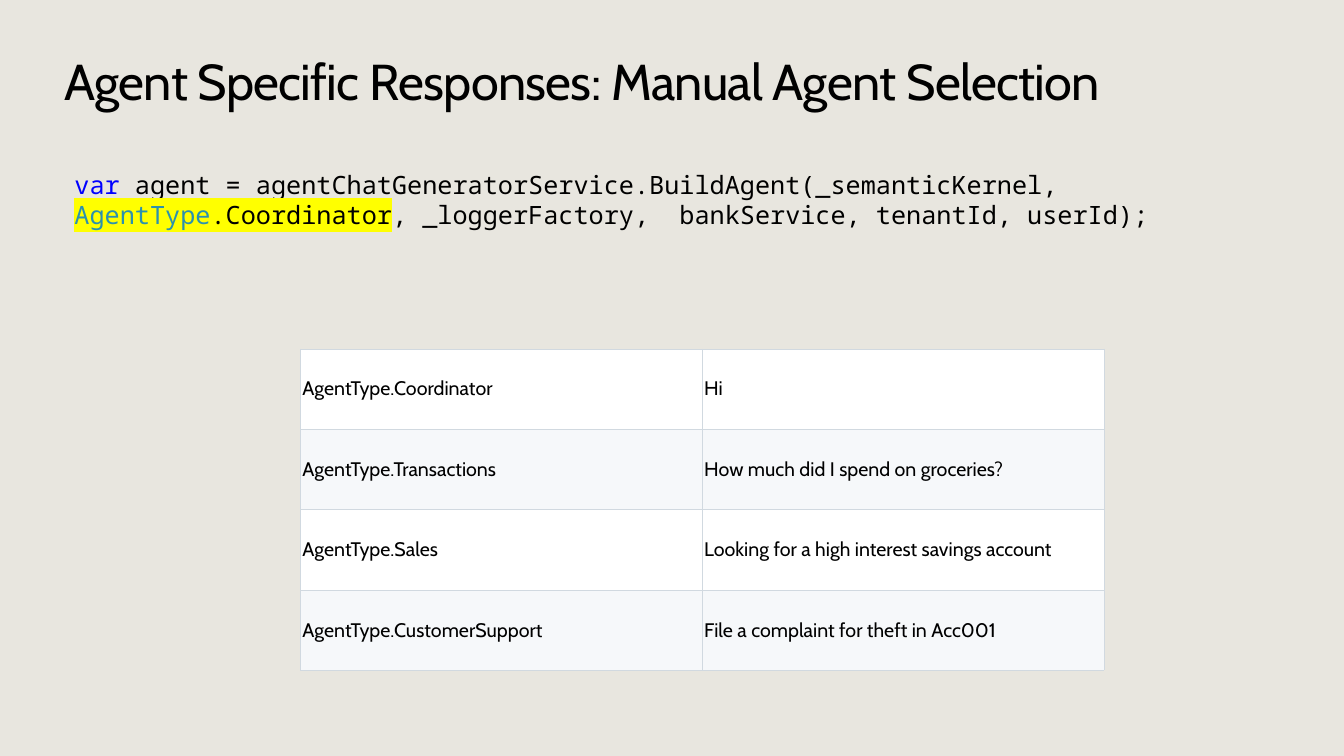
import pptx
import pptx.dml.color
import pptx.enum.text
import pptx.oxml
import pptx.oxml.ns
import pptx.util
from pptx.util import Inches

COLORS = {
    "background": "E8E6DF", "text": "000000", "keyword": "0000FF",
    "type": "2B91AF", "highlight": "FFFF00", "border": "D1D9E0",
    "row": "FFFFFF", "row_alt": "F6F8FA",
}
BODY_FONT, CODE_FONT = "Cabin", "Noto Sans Mono"
ANCHOR = pptx.enum.text.MSO_ANCHOR

# Text, colour, highlighted
CODE = [
    ("var", "keyword", False),
    (" agent = agentChatGeneratorService.BuildAgent(_semanticKernel, ", "text", False),
    ("AgentType", "type", True),
    (".Coordinator", "text", True),
    (", _loggerFactory, \tbankService, tenantId, userId);", "text", False),
]
PROMPTS = [
    ("AgentType.Coordinator", "Hi"),
    ("AgentType.Transactions", "How much did I spend on groceries?"),
    ("AgentType.Sales", "Looking for a high interest savings account"),
    ("AgentType.CustomerSupport", "File a complaint for theft in Acc001"),
]


def rgb(name):
    return pptx.dml.color.RGBColor.from_string(COLORS[name])


def xml(tag, body):
    ns = pptx.oxml.ns.nsdecls("a")
    return pptx.oxml.parse_xml(f"<a:{tag} {ns}>{body}</a:{tag}>")


def format_run(r, size, font, color="text"):
    r.font.size = pptx.util.Pt(size)
    r.font.name = font
    r.font.color.rgb = rgb(color)


def add_title(slide, left, top, width, height, text):
    sp = slide.shapes.title
    sp.left, sp.top, sp.width, sp.height = map(Inches, (left, top, width, height))
    tf = sp.text_frame
    tf.text = text
    tf.word_wrap = True
    tf.vertical_anchor = ANCHOR.TOP
    tf.margin_left = tf.margin_top = tf.margin_right = tf.margin_bottom = 0
    p = tf.paragraphs[0]
    p.alignment = pptx.enum.text.PP_ALIGN.LEFT
    r = p.runs[0]
    format_run(r, 36, BODY_FONT)
    r.font._element.set("spc", "-50")


def add_code(slide, left, top, width, height, parts):
    sp = slide.shapes.add_textbox(*map(Inches, (left, top, width, height)))
    tf = sp.text_frame
    tf.word_wrap = True
    for text, color, highlighted in parts:
        r = tf.paragraphs[0].add_run()
        r.text = text
        format_run(r, 18, CODE_FONT, color)
        if highlighted:
            # The highlight follows the fill in the run properties
            fill = r.font._element.find(pptx.oxml.ns.qn("a:solidFill"))
            fill.addnext(xml("highlight", f'<a:srgbClr val="{COLORS["highlight"]}"/>'))


def add_borders(cell, width):
    tc_pr = cell._tc.get_or_add_tcPr()
    line = f'<a:solidFill><a:srgbClr val="{COLORS["border"]}"/></a:solidFill>'
    for i, side in enumerate(("lnL", "lnR", "lnT", "lnB")):
        ln = xml(side, line)
        ln.set("w", str(pptx.util.Pt(width)))
        tc_pr.insert(i, ln)


def add_prompt_table(slide, left, top, width, height, rows):
    box = map(Inches, (left, top, width, height))
    table = slide.shapes.add_table(len(rows), len(rows[0]), *box).table
    table.first_row = table.horz_banding = False
    for i, row in enumerate(rows):
        for j, text in enumerate(row):
            cell = table.cell(i, j)
            cell.text = text
            cell.vertical_anchor = ANCHOR.MIDDLE
            cell.margin_left = cell.margin_right = Inches(0.02)
            cell.margin_top = cell.margin_bottom = Inches(0.01)
            cell.fill.solid()
            cell.fill.fore_color.rgb = rgb("row_alt" if i % 2 else "row")
            add_borders(cell, 0.2)
            format_run(cell.text_frame.paragraphs[0].runs[0], 14, BODY_FONT)


def main():
    prs = pptx.Presentation()
    prs.slide_width, prs.slide_height = Inches(13.33), Inches(7.5)
    slide = prs.slides.add_slide(prs.slide_layouts[5])
    slide.background.fill.solid()
    slide.background.fill.fore_color.rgb = rgb("background")

    add_title(slide, 0.64, 0.5, 12.05, 0.61,
              "Agent Specific Responses: Manual Agent Selection")
    add_prompt_table(slide, 2.98, 3.46, 7.97, 3.19, PROMPTS)
    add_code(slide, 0.64, 1.63, 12.16, 0.71, CODE)
    prs.save("out.pptx")


if __name__ == "__main__":
    main()
